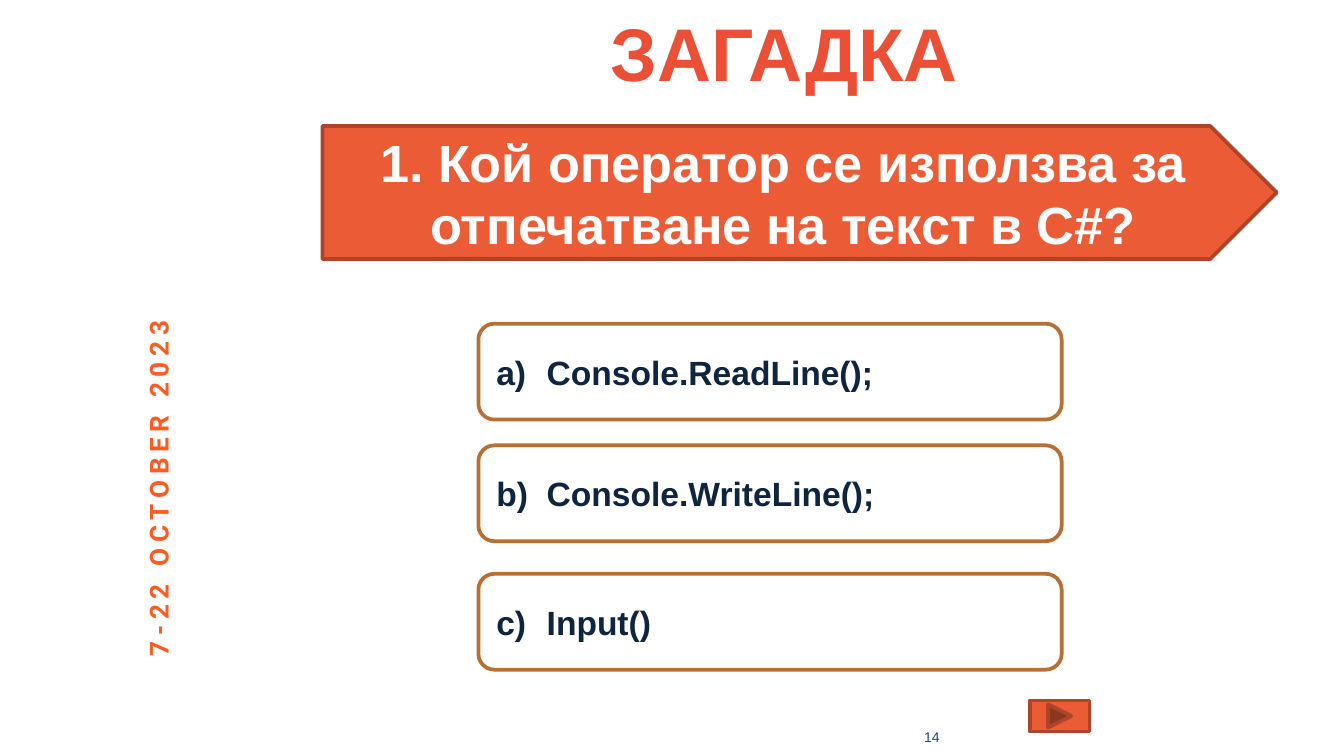
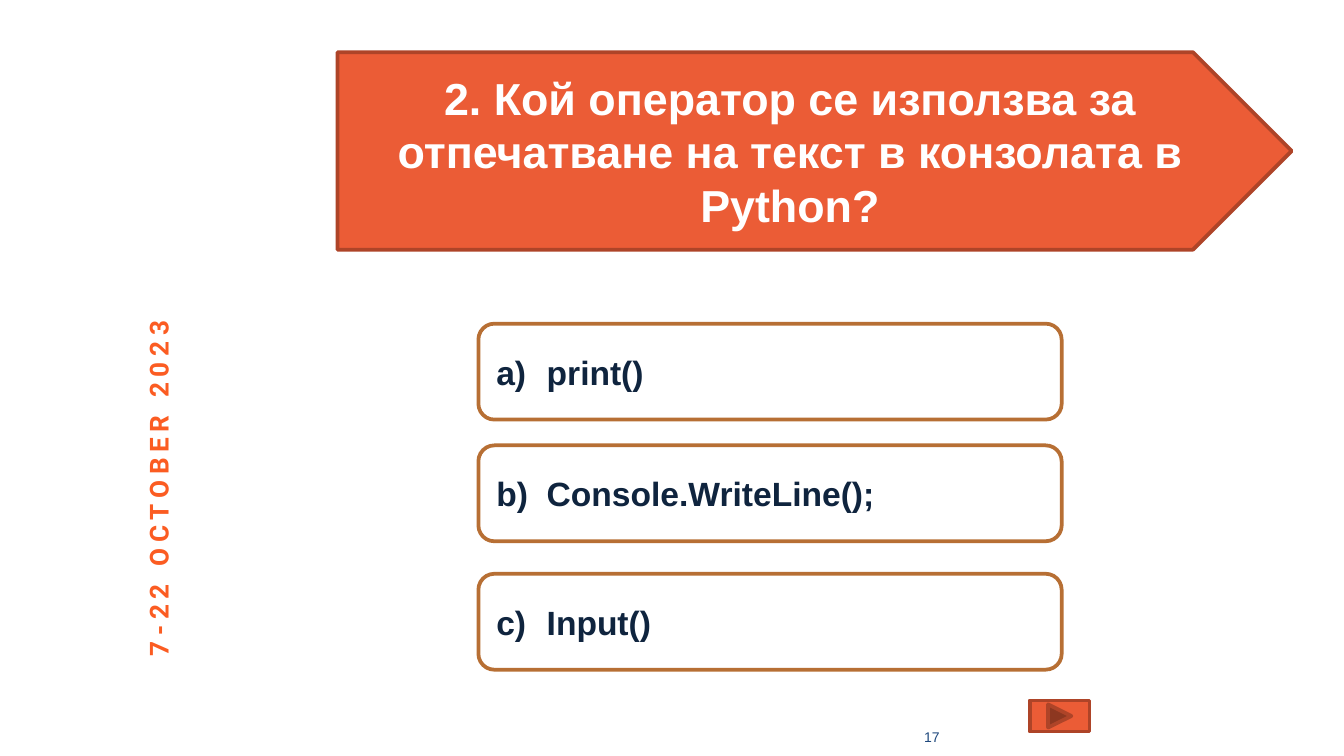
import pptx
import pptx.util
import pptx.oxml
import pptx.oxml.ns
from pptx.dml.color import RGBColor
from pptx.enum.shapes import MSO_SHAPE
from pptx.enum.text import MSO_ANCHOR, MSO_AUTO_SIZE, PP_ALIGN

Pt = pptx.util.Pt

ORANGE = RGBColor(0xEB, 0x5C, 0x36)
RUST = RGBColor(0xAE, 0x44, 0x28)
BRONZE = RGBColor(0xB7, 0x6F, 0x34)
NAVY = RGBColor(0x0F, 0x24, 0x3E)
BLUE = RGBColor(0x1F, 0x49, 0x7D)
DATE_ORANGE = RGBColor(0xFB, 0x5C, 0x22)
WHITE = RGBColor(0xFF, 0xFF, 0xFF)
HEADING_STOPS = [
    (0, RGBColor(0xF1, 0x73, 0x62)),
    (49, RGBColor(0xEB, 0x4F, 0x35)),
    (50, RGBColor(0xD9, 0x3F, 0x16)),
    (92, RGBColor(0xBB, 0x3C, 0x1B)),
    (100, RGBColor(0xB8, 0x3B, 0x1A)),
]

EVENT_DATE = "7-22 OCTOBER 2023"
QUIZ = [
    {
        "heading": "ЗАГАДКА",
        "question": "1. Кой оператор се използва за отпечатване на текст в C#?",
        "question_box": (172.8, 67.5, 511.2, 71.3),
        "question_size": 28,
        "answers": ["Console.ReadLine();", "Console.WriteLine();", "Input()"],
        "number": "14",
    },
    {
        "heading": None,
        "question": "2. Кой оператор се използва за отпечатване на текст "
                    "в конзолата в Python?",
        "question_box": (180.8, 28, 511.2, 105.8),
        "question_size": 24,
        "answers": ["print()", "Console.WriteLine();", "Input()"],
        "number": "17",
    },
]

HEADING_BOX = (319, 0, 202.3, 55.4)
DATE_BOX = (-20, 241.2, 210.2, 24.5)
NUMBER_BOX = (348.5, 383.8, 162, 21.6)
BUTTON_BOX = (551.7, 375.3, 32, 16.6)
ANSWER_LEFT, ANSWER_WIDTH, ANSWER_HEIGHT = 256.3, 312.5, 51.4
ANSWER_TOPS = [173.4, 238.6, 307.4]
ANSWER_INDENT = 27


def points(box):
    return [Pt(length) for length in box]


def write(shape, text, size, color, align=PP_ALIGN.LEFT, bold=True,
          font="Arial", anchor=MSO_ANCHOR.MIDDLE):
    frame = shape.text_frame
    frame.text = text
    frame.word_wrap = True
    frame.vertical_anchor = anchor
    paragraph = frame.paragraphs[0]
    paragraph.alignment = align
    run = paragraph.runs[0]
    run.font.name = font
    run.font.size = Pt(size)
    run.font.bold = bold
    run.font.color.rgb = color
    return paragraph


def add_outlined(slide, kind, box, line, fill=None):
    shape = slide.shapes.add_shape(kind, *points(box))
    shape.shadow.inherit = False
    shape.line.color.rgb = line
    shape.line.width = Pt(2)
    if fill is None:
        shape.fill.background()
    else:
        shape.fill.solid()
        shape.fill.fore_color.rgb = fill
    return shape


def letter_paragraph(paragraph, position):
    """Number the paragraph a), b), c) with a hanging indent."""
    properties = paragraph._p.get_or_add_pPr()
    properties.set("marL", str(Pt(ANSWER_INDENT)))
    properties.set("indent", str(-Pt(ANSWER_INDENT)))
    numbering = pptx.oxml.parse_xml(
        f'<a:buAutoNum {pptx.oxml.ns.nsdecls("a")} type="alphaLcParenR" '
        f'startAt="{position}"/>')
    properties.append(numbering)


def shade_run(run, stops):
    """Replace the run's plain colour by a vertical gradient."""
    stop_xml = "".join(
        f'<a:gs pos="{percent * 1000}"><a:srgbClr val="{color}"/></a:gs>'
        for percent, color in stops)
    gradient = pptx.oxml.parse_xml(
        f'<a:gradFill {pptx.oxml.ns.nsdecls("a")}><a:gsLst>{stop_xml}</a:gsLst>'
        '<a:lin ang="5400000" scaled="0"/></a:gradFill>')
    properties = run._r.get_or_add_rPr()
    solid = properties.find(pptx.oxml.ns.qn("a:solidFill"))
    properties.replace(solid, gradient)


def set_heading(slide, text):
    title = slide.shapes.title
    if text is None:
        title._element.getparent().remove(title._element)
        return
    title.left, title.top, title.width, title.height = points(HEADING_BOX)
    paragraph = write(title, text, 40, HEADING_STOPS[1][1], PP_ALIGN.CENTER,
                      anchor=MSO_ANCHOR.TOP)
    title.text_frame.word_wrap = False
    title.text_frame.auto_size = MSO_AUTO_SIZE.SHAPE_TO_FIT_TEXT
    shade_run(paragraph.runs[0], HEADING_STOPS)


def add_frame(slide, number):
    """Add what every slide shares: date, slide number and next button."""
    date = slide.shapes.add_textbox(*points(DATE_BOX))
    date.rotation = 270
    paragraph = write(date, EVENT_DATE, 14, DATE_ORANGE, font="Roboto",
                      anchor=MSO_ANCHOR.TOP)
    date.text_frame.auto_size = MSO_AUTO_SIZE.SHAPE_TO_FIT_TEXT
    paragraph.runs[0]._r.get_or_add_rPr().set("spc", "300")

    page = slide.shapes.add_textbox(*points(NUMBER_BOX))
    write(page, number, 7.5, BLUE, PP_ALIGN.RIGHT, bold=False)

    add_outlined(slide, MSO_SHAPE.ACTION_BUTTON_FORWARD_OR_NEXT, BUTTON_BOX,
                 RUST, ORANGE)


def add_quiz_slide(deck, quiz):
    slide = deck.slides.add_slide(deck.slide_layouts[5])
    set_heading(slide, quiz["heading"])
    add_frame(slide, quiz["number"])
    for position, (answer, top) in enumerate(
            zip(quiz["answers"], ANSWER_TOPS), start=1):
        box = (ANSWER_LEFT, top, ANSWER_WIDTH, ANSWER_HEIGHT)
        option = add_outlined(slide, MSO_SHAPE.ROUNDED_RECTANGLE, box, BRONZE)
        letter_paragraph(write(option, answer, 18, NAVY), position)
    banner = add_outlined(slide, MSO_SHAPE.PENTAGON, quiz["question_box"],
                          RUST, ORANGE)
    write(banner, quiz["question"], quiz["question_size"], WHITE,
          PP_ALIGN.CENTER)


def main():
    deck = pptx.Presentation()
    deck.slide_width, deck.slide_height = Pt(720), Pt(405)
    for quiz in QUIZ:
        add_quiz_slide(deck, quiz)
    deck.save("out.pptx")


if __name__ == "__main__":
    main()
